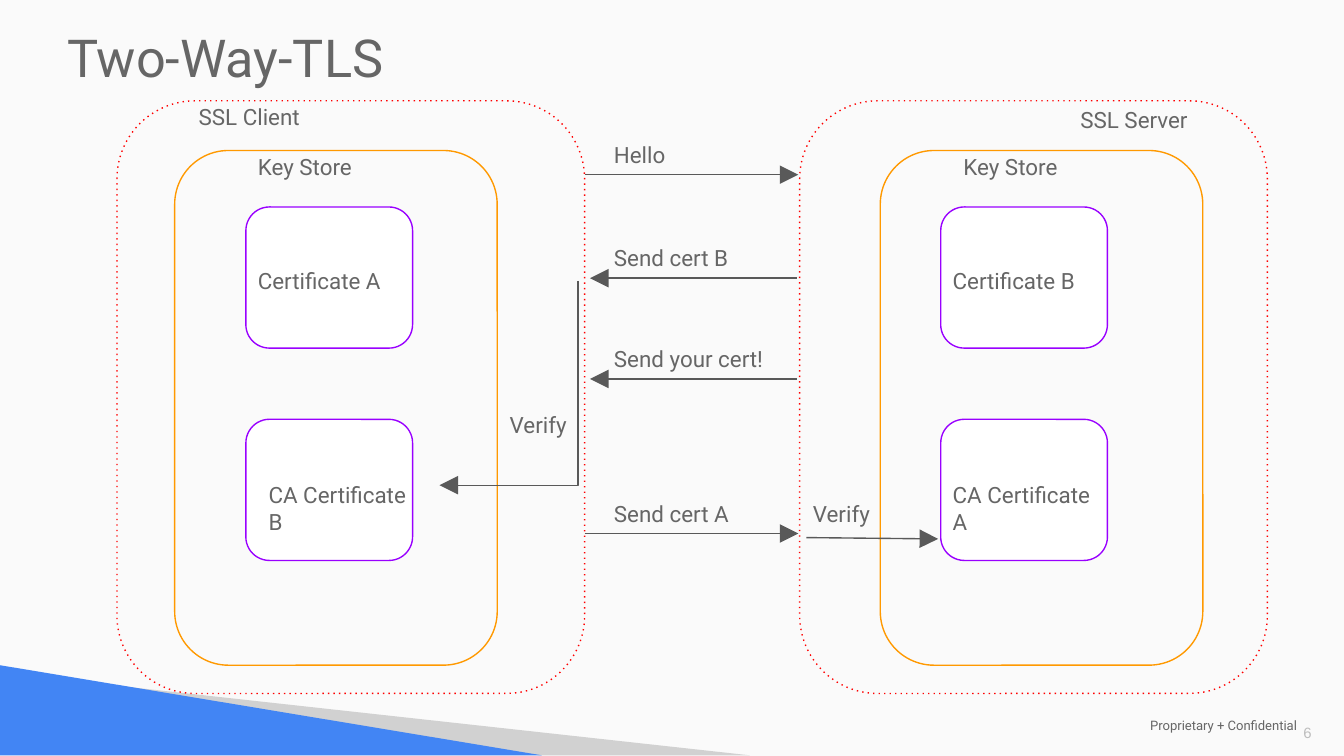
"""Build a slide that shows the two-way TLS handshake between client and server."""
from dataclasses import dataclass

from lxml import etree
from pptx import Presentation
from pptx.dml.color import RGBColor
from pptx.enum.shapes import MSO_CONNECTOR, MSO_SHAPE
from pptx.enum.text import MSO_ANCHOR, MSO_AUTO_SIZE, PP_ALIGN
from pptx.oxml.ns import qn
from pptx.util import Inches, Pt


@dataclass(frozen=True)
class Theme:
    font: str = "Roboto"
    number_font: str = "Arial"
    title_size: float = 28
    label_size: float = 12
    number_size: float = 8
    footer_size: float = 7
    line_width: float = 0.75
    text: str = "666666"
    number: str = "BDBDBD"
    backdrop: str = "FAFAFA"
    card: str = "FFFFFF"
    host: str = "FF0000"
    store: str = "FF9900"
    certificate: str = "9900FF"
    arrow: str = "595959"


THEME = Theme()
TITLE = "Two-Way-TLS"
FOOTER = "Proprietary + Confidential"
PAGE_NUMBER = "6"

WEDGES = [
    ("D1D1D1", [(0.85, 5.1), (5.58, 5.62), (4.01, 5.62)]),
    ("4285F4", [(0, 4.95), (0, 5.62), (4.03, 5.62)]),
]
HOSTS = [
    {
        "name": "SSL Server", "name_at": (7.94, 0.69), "left": 5.95,
        "store_left": 6.55, "store_name_left": 7.07, "card_left": 7,
        "cards": [("Certificate B", 6.99), ("CA Certificate A", 6.99)],
    },
    {
        "name": "SSL Client", "name_at": (1.38, 0.67), "left": 0.87,
        "store_left": 1.3, "store_name_left": 1.82, "card_left": 1.83,
        "cards": [("Certificate A", 1.82), ("CA Certificate B", 1.9)],
    },
]
MESSAGES = [
    ("Hello", 1.3, "to server"),
    ("Send cert B", 2.07, "to client"),
    ("Send your cert!", 2.82, "to client"),
    ("Send cert A", 3.97, "to server"),
]
SPANS = {"to server": (4.35, 5.94), "to client": (5.93, 4.39)}
CARD_TOP, CARD_STEP = 1.54, 1.58
CARD_LABEL_TOP, CARD_LABEL_STEP = 1.89, 1.59
LABEL_WIDTH, LABEL_HEIGHT, MESSAGE_RISE = 1.36, 0.26, 0.35


def rgb(code):
    return RGBColor.from_string(code)


def write(shape, text, size=THEME.label_size, font=THEME.font, color=THEME.text,
          align=PP_ALIGN.LEFT, anchor=MSO_ANCHOR.TOP, inset=(0.1, 0.1), after=0):
    frame = shape.text_frame
    frame.text = text
    frame.word_wrap = True
    frame.auto_size = MSO_AUTO_SIZE.NONE
    frame.vertical_anchor = anchor
    frame.margin_left = frame.margin_right = Inches(inset[0])
    frame.margin_top = frame.margin_bottom = Inches(inset[1])
    paragraph = frame.paragraphs[0]
    paragraph.alignment = align
    paragraph.space_before, paragraph.space_after = Pt(0), Pt(after)
    run_font = paragraph.runs[0].font
    run_font.name, run_font.size = font, Pt(size)
    run_font.color.rgb = rgb(color)


def add_label(slide, text, left, top, width=LABEL_WIDTH, height=LABEL_HEIGHT, **style):
    box = slide.shapes.add_textbox(*map(Inches, (left, top, width, height)))
    write(box, text, **style)


def add_box(slide, left, top, width, height, color, fill=None, dash=None):
    box = slide.shapes.add_shape(
        MSO_SHAPE.ROUNDED_RECTANGLE, *map(Inches, (left, top, width, height)))
    box.shadow.inherit = False
    box.line.color.rgb = rgb(color)
    box.line.width = Pt(THEME.line_width)
    if dash:
        outline = box.element.spPr.find(qn("a:ln"))
        etree.SubElement(outline, qn("a:prstDash"), val=dash)
    if fill:
        box.fill.solid()
        box.fill.fore_color.rgb = rgb(fill)
    else:
        box.fill.background()


def add_arrow(slide, start, end, kind=MSO_CONNECTOR.STRAIGHT):
    arrow = slide.shapes.add_connector(kind, *map(Inches, (*start, *end)))
    arrow.line.color.rgb = rgb(THEME.arrow)
    arrow.line.width = Pt(THEME.line_width)
    properties = arrow.element.spPr
    etree.SubElement(properties.find(qn("a:ln")), qn("a:tailEnd"),
                     type="triangle", w="lg", len="lg")
    etree.SubElement(properties, qn("a:effectLst"))
    return arrow


def add_corner_arrow(slide, start, end):
    center_x, center_y = (start[0] + end[0]) / 2, (start[1] + end[1]) / 2
    half_width, half_height = (end[1] - start[1]) / 2, (start[0] - end[0]) / 2
    arrow = add_arrow(slide, (center_x - half_width, center_y - half_height),
                      (center_x + half_width, center_y + half_height), MSO_CONNECTOR.ELBOW)
    properties = arrow.element.spPr
    properties.find(qn("a:xfrm")).set("rot", "5400000")
    properties.find(qn("a:prstGeom")).set("prst", "bentConnector2")


def add_wedge(slide, color, points):
    corners = [(Inches(x), Inches(y)) for x, y in points]
    builder = slide.shapes.build_freeform(*corners[0])
    builder.add_line_segments(corners[1:], close=True)
    wedge = builder.convert_to_shape()
    wedge.shadow.inherit = False
    wedge.fill.solid()
    wedge.fill.fore_color.rgb = rgb(color)
    wedge.line.fill.background()


def add_host(slide, host):
    add_box(slide, host["left"], 0.75, 3.48, 4.41, THEME.host, dash="dot")
    add_box(slide, host["store_left"], 1.12, 2.4, 3.83, THEME.store)
    add_label(slide, host["name"], *host["name_at"])
    add_label(slide, "Key Store", host["store_name_left"], 1.04)
    for row, (certificate, label_left) in enumerate(host["cards"]):
        add_box(slide, host["card_left"], CARD_TOP + row * CARD_STEP, 1.24, 1.05,
                THEME.certificate, fill=THEME.card)
        add_label(slide, certificate, label_left, CARD_LABEL_TOP + row * CARD_LABEL_STEP)


def main():
    deck = Presentation()
    deck.slide_width = Inches(10)
    deck.slide_height = deck.slide_width * 9 // 16
    slide = deck.slides.add_slide(deck.slide_layouts[5])
    slide.background.fill.solid()
    slide.background.fill.fore_color.rgb = rgb(THEME.backdrop)

    title = slide.shapes.title
    title.left, title.top, title.width, title.height = map(Inches, (0.4, 0.09, 8.88, 0.82))
    write(title, TITLE, size=THEME.title_size, after=18)

    for color, points in WEDGES:
        add_wedge(slide, color, points)
    add_label(slide, FOOTER, 8.46, 5.33, 1.49, 0.14,
              size=THEME.footer_size, anchor=MSO_ANCHOR.MIDDLE)
    add_label(slide, PAGE_NUMBER, 9.33, 5.3, 0.5, 0.3, size=THEME.number_size,
              font=THEME.number_font, color=THEME.number, align=PP_ALIGN.RIGHT,
              anchor=MSO_ANCHOR.MIDDLE, inset=(0.07, 0.04))

    for host in HOSTS:
        add_host(slide, host)
    for message, y, direction in MESSAGES:
        start_x, end_x = SPANS[direction]
        add_arrow(slide, (start_x, y), (end_x, y))
        add_label(slide, message, 4.47, y - MESSAGE_RISE)

    add_corner_arrow(slide, (4.3, 2.09), (3.27, 3.61))
    add_label(slide, "Verify", 3.65, 2.96, 0.71, 0.4, align=PP_ALIGN.CENTER)
    add_arrow(slide, (6, 4), (6.98, 4.01))
    add_label(slide, "Verify", 5.95, 3.62, 0.71)

    deck.save("out.pptx")


if __name__ == "__main__":
    main()
